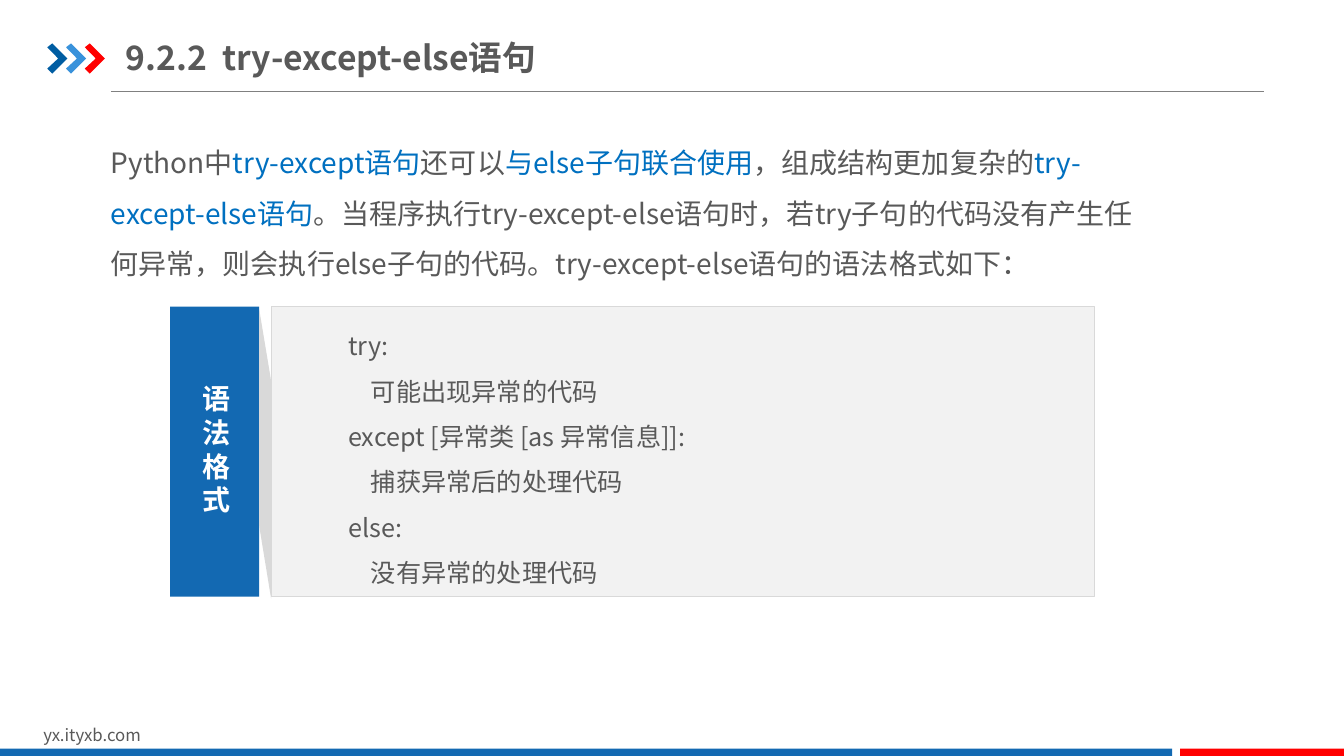
from dataclasses import dataclass
from typing import Any

import lxml.etree
import pptx
import pptx.dml.color
import pptx.enum.shapes
import pptx.enum.text
import pptx.oxml.ns
import pptx.util

Pt = pptx.util.Pt
Align = pptx.enum.text.PP_ALIGN
Anchor = pptx.enum.text.MSO_ANCHOR
AutoSize = pptx.enum.text.MSO_AUTO_SIZE


@dataclass(frozen=True)
class Theme:
    font: str = "Noto Sans CJK SC"
    text: str = "595959"
    accent: str = "0070C0"
    white: str = "FFFFFF"
    blue: str = "1369B2"
    dark_blue: str = "005DA2"
    light_blue: str = "3992DB"
    red: str = "FF0000"
    panel: str = "F2F2F2"
    edge: str = "D9D9D9"
    rule: str = "808080"
    title_size: float = 24
    body_size: float = 20
    code_size: float = 18
    footer_size: float = 12


@dataclass(frozen=True)
class Box:
    left: float
    top: float
    width: float
    height: float

    def lengths(self) -> tuple:
        return Pt(self.left), Pt(self.top), Pt(self.width), Pt(self.height)


@dataclass(frozen=True)
class Run:
    text: str
    color: str


@dataclass(frozen=True)
class TextStyle:
    size: float
    bold: bool = False
    line_spacing: float | None = None
    indent: float = 0
    align: Any = Align.LEFT
    anchor: Any = Anchor.TOP
    wrap: bool = True
    auto_size: Any = AutoSize.NONE
    side_inset: float = 7.2
    edge_inset: float = 3.6


@dataclass(frozen=True)
class TextBlock:
    box: Box
    paragraphs: list[list[Run]]
    style: TextStyle


@dataclass(frozen=True)
class Bar:
    box: Box
    fill: str
    line: str | None = None


THEME = Theme()

FOOTER = TextBlock(
    Box(23.8, 514, 229, 21.8),
    [[Run("yx.ityxb.com", THEME.text)]],
    TextStyle(THEME.footer_size, auto_size=AutoSize.SHAPE_TO_FIT_TEXT),
)
INTRODUCTION = TextBlock(
    Box(72, 88.6, 759.6, 113),
    [[
        Run("Python中", THEME.text),
        Run("try-except语句", THEME.accent),
        Run("还可以", THEME.text),
        Run("与else子句联合使用", THEME.accent),
        Run("，组成结构更加复杂的", THEME.text),
        Run("try-except-else语句", THEME.accent),
        Run("。当程序执行try-except-else语句时，若try子句的代码没有产生任何异常，"
            "则会执行else子句的代码。try-except-else语句的语法格式如下：", THEME.text),
    ]],
    TextStyle(THEME.body_size, line_spacing=1.5),
)
TITLE = TextBlock(
    Box(90, 20.9, 418.3, 39.6),
    [[Run("9.2.2  try-except-else语句", THEME.text)]],
    TextStyle(THEME.title_size, bold=True, anchor=Anchor.MIDDLE, side_inset=0, edge_inset=5),
)
TAB_LABEL = TextBlock(
    Box(137.5, 269.3, 34.6, 104.4),
    [[Run(character, THEME.white)] for character in "语法格式"],
    TextStyle(THEME.body_size, bold=True, align=Align.CENTER, wrap=False,
              auto_size=AutoSize.SHAPE_TO_FIT_TEXT),
)
SYNTAX_LINES = [
    "try:",
    "    可能出现异常的代码",
    "except [异常类 [as 异常信息]]:",
    "    捕获异常后的处理代码",
    "else:",
    "    没有异常的处理代码",
]
SYNTAX_STYLE = TextStyle(THEME.code_size, line_spacing=1.5, indent=48, anchor=Anchor.MIDDLE)

FOOTER_BARS = [
    Bar(Box(0, 534.8, 837.3, 6.4), THEME.blue),
    Bar(Box(843, 534.8, 117, 6.4), THEME.red),
]
PANEL = Bar(Box(193.7, 219, 588.2, 207.2), THEME.panel, THEME.edge)
TAB = Bar(Box(121.6, 219, 63.6, 207.2), THEME.blue)
FOLD = [(193.7, 272.2), (193.7, 427.7), (185.2, 375.8), (185.2, 221)]

CHEVRON = [(0, 33.8), (3.6, 31), (14.4, 41.8), (3.6, 52.6), (0, 49), (7.8, 41.8)]
CHEVRON_LEFT, CHEVRON_STEP = 33.8, 13.4
CHEVRON_COLORS = [THEME.dark_blue, THEME.light_blue, THEME.red]


def color(value: str) -> pptx.dml.color.RGBColor:
    return pptx.dml.color.RGBColor.from_string(value)


def paint(shape: Any, fill: str, line: str | None = None) -> None:
    shape.shadow.inherit = False
    shape.fill.solid()
    shape.fill.fore_color.rgb = color(fill)
    if line is None:
        shape.line.fill.background()
    else:
        shape.line.color.rgb = color(line)
        shape.line.width = Pt(0.25)


def write_text(shape: Any, paragraphs: list[list[Run]], style: TextStyle) -> None:
    frame = shape.text_frame
    frame.word_wrap = style.wrap
    frame.auto_size = style.auto_size
    frame.vertical_anchor = style.anchor
    frame.margin_left = frame.margin_right = Pt(style.side_inset)
    frame.margin_top = frame.margin_bottom = Pt(style.edge_inset)
    for index, runs in enumerate(paragraphs):
        paragraph = frame.add_paragraph() if index else frame.paragraphs[0]
        paragraph.alignment = style.align
        if style.line_spacing:
            paragraph.line_spacing = style.line_spacing
        if style.indent:
            paragraph._p.get_or_add_pPr().set("marL", str(Pt(style.indent)))
        for item in runs:
            run = paragraph.add_run()
            run.text = item.text
            run.font.name = THEME.font
            run.font.size = Pt(style.size)
            run.font.bold = style.bold
            run.font.color.rgb = color(item.color)
            east_asian = pptx.oxml.ns.qn("a:ea")
            properties = run._r.get_or_add_rPr()
            lxml.etree.SubElement(properties, east_asian).set("typeface", THEME.font)


def add_text(shapes: Any, block: TextBlock) -> None:
    write_text(shapes.add_textbox(*block.box.lengths()), block.paragraphs, block.style)


def add_bar(shapes: Any, bar: Bar) -> Any:
    shape = shapes.add_shape(pptx.enum.shapes.MSO_SHAPE.RECTANGLE, *bar.box.lengths())
    paint(shape, bar.fill, bar.line)
    return shape


def add_outline(shapes: Any, points: list[tuple[float, float]], fill: str) -> None:
    start, *others = [(Pt(x), Pt(y)) for x, y in points]
    builder = shapes.build_freeform(*start)
    builder.add_line_segments(others, close=True)
    paint(builder.convert_to_shape(), fill)


def add_rule(shapes: Any) -> None:
    rule = shapes.add_connector(
        pptx.enum.shapes.MSO_CONNECTOR.STRAIGHT, Pt(79.2), Pt(65.5), Pt(902.9), Pt(65.5))
    rule.line.color.rgb = color(THEME.rule)
    rule.line.width = Pt(0.75)
    lxml.etree.SubElement(rule._element.spPr, pptx.oxml.ns.qn("a:effectLst"))


def add_chevrons(shapes: Any) -> None:
    for index, fill in enumerate(CHEVRON_COLORS):
        left = CHEVRON_LEFT + index * CHEVRON_STEP
        add_outline(shapes, [(left + x, y) for x, y in CHEVRON], fill)


def add_syntax(shapes: Any) -> None:
    panel = add_bar(shapes, PANEL)
    write_text(panel, [[Run(line, THEME.text)] for line in SYNTAX_LINES], SYNTAX_STYLE)
    add_bar(shapes, TAB)
    add_text(shapes, TAB_LABEL)
    add_outline(shapes, FOLD, THEME.edge)


def main() -> None:
    presentation = pptx.Presentation()
    presentation.slide_width, presentation.slide_height = Pt(960), Pt(540)
    slide = presentation.slides.add_slide(presentation.slide_layouts[6])
    add_rule(slide.shapes)
    add_chevrons(slide.shapes.add_group_shape().shapes)
    add_text(slide.shapes, FOOTER)
    for bar in FOOTER_BARS:
        add_bar(slide.shapes, bar)
    add_text(slide.shapes, INTRODUCTION)
    add_text(slide.shapes, TITLE)
    add_syntax(slide.shapes.add_group_shape().shapes)
    presentation.save("out.pptx")


if __name__ == "__main__":
    main()
